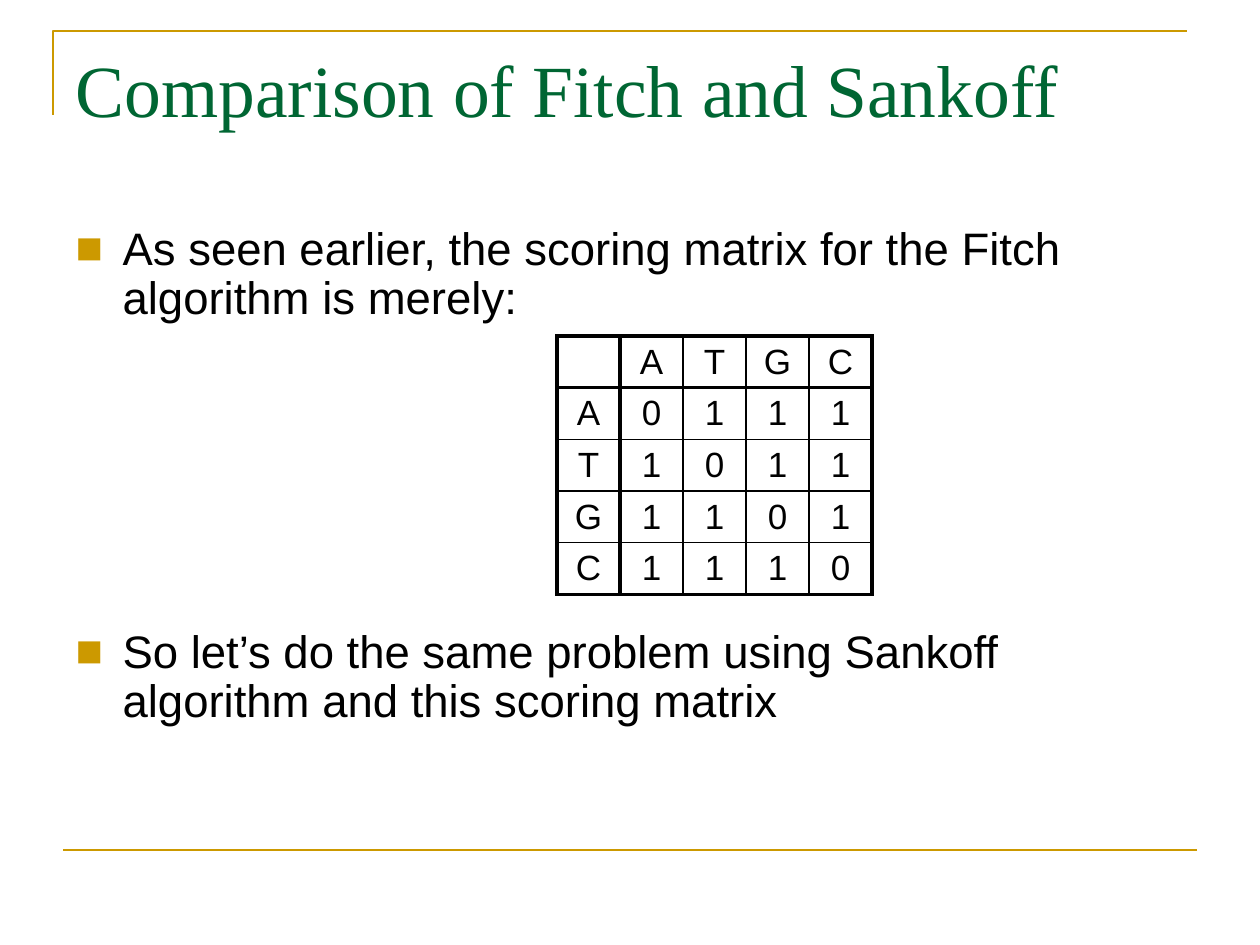
from dataclasses import dataclass

from lxml.etree import SubElement
from pptx import Presentation
from pptx.dml.color import RGBColor
from pptx.enum.shapes import MSO_CONNECTOR as Connector
from pptx.enum.text import MSO_ANCHOR as Anchor, MSO_AUTO_SIZE as AutoSize, PP_ALIGN as Align
from pptx.oxml import parse_xml
from pptx.oxml.ns import nsdecls, qn
from pptx.util import Emu, Pt


@dataclass(frozen=True)
class Theme:
    accent: str = "CC9900"
    heading: str = "006633"
    ink: str = "000000"
    heading_font: str = "Times New Roman"
    text_font: str = "Arial"
    title_size: int = 42
    body_size: int = 26
    cell_size: int = 20
    rule_width: float = 1.5
    thick: float = 2.25
    thin: float = 1


THEME = Theme()
PX_PER_INCH = 126
BASES = "ATGC"
BULLETS = [
    ("As seen earlier, the scoring matrix for the Fitch algorithm is merely:", 0),
    ("So let’s do the same problem using Sankoff algorithm and this scoring matrix", 174),
]


def px(length):
    return Emu(round(length * 914400 / PX_PER_INCH))


def place(placeholder, box):
    placeholder.left, placeholder.top, placeholder.width, placeholder.height = map(px, box)
    frame = placeholder.text_frame
    frame.word_wrap = True
    frame.auto_size = AutoSize.NONE
    frame.vertical_anchor = Anchor.TOP
    return frame


def add_run(paragraph, text, font, size, color):
    run = paragraph.add_run()
    run.text = text
    run.font.name = font
    run.font.size = Pt(size)
    run.font.color.rgb = RGBColor.from_string(color)


def style_rule(rule):
    rule.line.color.rgb = RGBColor.from_string(THEME.accent)
    rule.line.width = Pt(THEME.rule_width)


def add_corner(slide, box):
    left, top, width, height = box
    builder = slide.shapes.build_freeform(px(left), px(top + height))
    builder.add_line_segments(
        [(px(left), px(top)), (px(left + width), px(top))], close=False)
    corner = builder.convert_to_shape()
    corner.shadow.inherit = False
    corner.fill.background()
    style_rule(corner)


def add_footer_rule(slide, box):
    left, top, width, height = box
    rule = slide.shapes.add_connector(
        Connector.STRAIGHT, px(left), px(top), px(left + width), px(top + height))
    style_rule(rule)
    SubElement(rule._element.spPr, qn("a:effectLst"))


def fill_title(slide, box):
    heading = place(slide.shapes.title, box).paragraphs[0]
    heading.alignment = Align.LEFT
    add_run(heading, "Comparison of Fitch and Sankoff",
            THEME.heading_font, THEME.title_size, THEME.heading)


def set_bullet(paragraph, indent):
    properties = paragraph._p.get_or_add_pPr()
    properties.set("marL", str(indent))
    properties.set("indent", str(-indent))
    color = SubElement(properties, qn("a:buClr"))
    SubElement(color, qn("a:srgbClr"), val=THEME.accent)
    SubElement(properties, qn("a:buFont"), typeface=THEME.text_font)
    SubElement(properties, qn("a:buChar"), char="■")


def fill_body(slide, box):
    frame = place(slide.placeholders[1], box)
    for index, (text, gap) in enumerate(BULLETS):
        bullet = frame.add_paragraph() if index else frame.paragraphs[0]
        bullet.line_spacing = 0.9
        bullet.space_before = Pt(gap)
        set_bullet(bullet, px(47))
        add_run(bullet, text, THEME.text_font, THEME.body_size, THEME.ink)


def set_borders(cell, widths):
    properties = cell._tc.get_or_add_tcPr()
    for index, (side, width) in enumerate(widths.items()):
        properties.insert(index, parse_xml(
            f'<a:ln{side} {nsdecls("a")} w="{Pt(width)}"><a:solidFill>'
            f'<a:srgbClr val="{THEME.ink}"/></a:solidFill></a:ln{side}>'))


def add_scoring_matrix(slide, box):
    rows = [["", *BASES]]
    rows += [[base, *(str(int(base != other)) for other in BASES)] for base in BASES]
    count = len(rows)
    matrix = slide.shapes.add_table(count, count, *map(px, box)).table
    matrix.first_row = matrix.horz_banding = False
    edge_width = [THEME.thin] * (count + 1)
    for edge in (0, 1, count):
        edge_width[edge] = THEME.thick
    for row, values in enumerate(rows):
        for column, value in enumerate(values):
            cell = matrix.cell(row, column)
            cell.fill.background()
            cell.vertical_anchor = Anchor.MIDDLE
            set_borders(cell, {"L": edge_width[column], "R": edge_width[column + 1],
                               "T": edge_width[row], "B": edge_width[row + 1]})
            if value:
                entry = cell.text_frame.paragraphs[0]
                entry.alignment = Align.CENTER
                add_run(entry, value, THEME.text_font, THEME.cell_size, THEME.ink)


def main():
    deck = Presentation()
    deck.slide_width, deck.slide_height = px(1260), px(945)
    slide = deck.slides.add_slide(deck.slide_layouts[1])
    add_corner(slide, (53, 31, 1134, 84))
    add_footer_rule(slide, (63, 850, 1134, 0))
    fill_title(slide, (63, 38, 1134, 158))
    fill_body(slide, (63, 220, 1134, 624))
    add_scoring_matrix(slide, (557, 336, 315, 258))
    deck.save("out.pptx")


if __name__ == "__main__":
    main()
